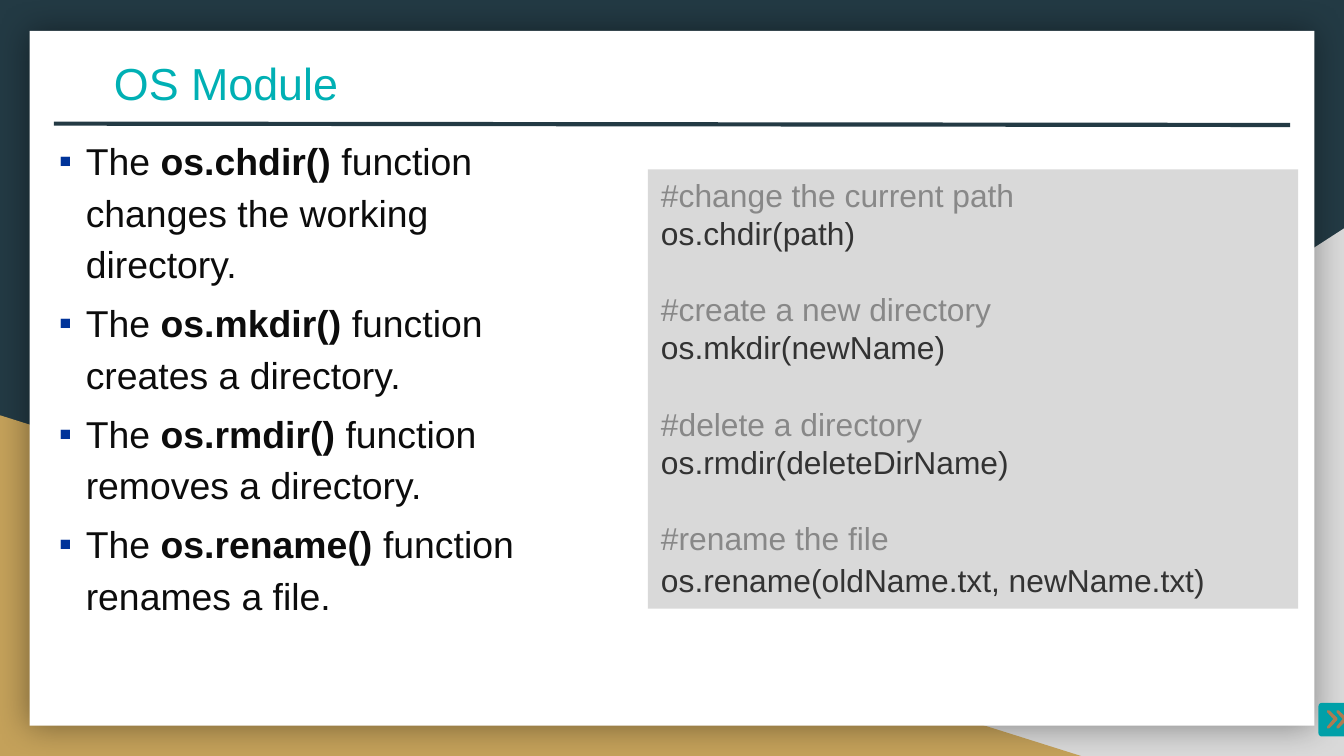
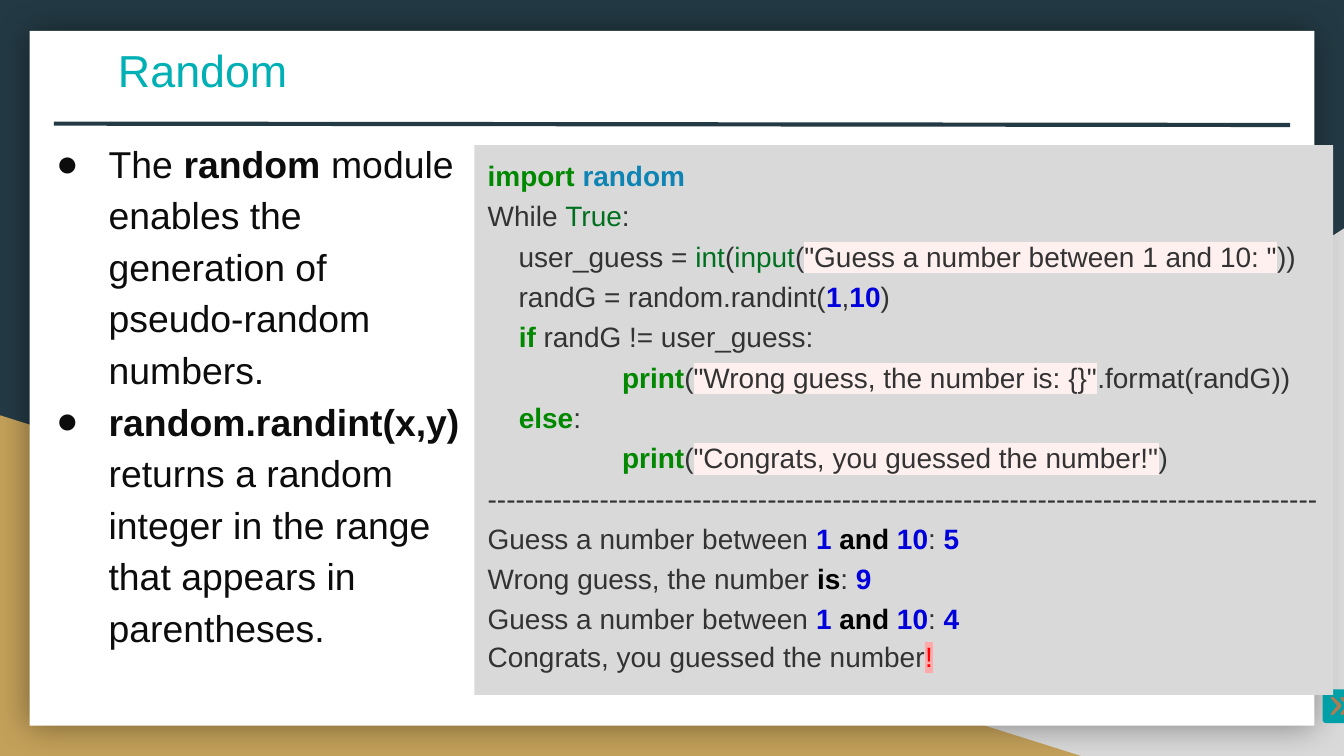
from dataclasses import dataclass
from typing import NamedTuple

from lxml import etree
from pptx import Presentation
from pptx.dml.color import RGBColor
from pptx.enum.shapes import MSO_CONNECTOR, MSO_SHAPE
from pptx.enum.text import MSO_ANCHOR, PP_ALIGN
from pptx.oxml.ns import qn
from pptx.util import Inches, Pt

RECT = MSO_SHAPE.RECTANGLE
ROUNDED = MSO_SHAPE.ROUNDED_RECTANGLE
TRIANGLE = MSO_SHAPE.RIGHT_TRIANGLE
STRAIGHT = MSO_CONNECTOR.STRAIGHT
LEFT = PP_ALIGN.LEFT
TOP, MIDDLE = MSO_ANCHOR.TOP, MSO_ANCHOR.MIDDLE

FONT = "Arial"
COLORS = {
    "navy": "233A44", "gray": "D9D9D9", "gold": "C4A15A", "white": "FFFFFF",
    "title": "00B0B4", "body": "0C0C0C", "bullet": "003399",
    "button": "00A0A8", "chevron": "AF7B51", "shadow": "000000",
    "code": "333333", "comment": "888888", "keyword": "008800",
    "module": "0E84B5", "builtin": "007020", "number": "0000DD",
    "black": "000000", "error": "FF0000",
    "string_back": "FFF0F0", "error_back": "FFAAAA",
}


class Style(NamedTuple):
    color: str
    bold: bool = False
    highlight: str = ""


STYLES = {
    "title": Style("title"),
    "body": Style("body"),
    "strong": Style("body", True),
    "code": Style("code"),
    "comment": Style("comment"),
    "keyword": Style("keyword", True),
    "module": Style("module", True),
    "builtin": Style("builtin"),
    "number": Style("number", True),
    "operator": Style("black", True),
    "string": Style("code", highlight="string_back"),
    "error": Style("error", highlight="error_back"),
}


class Area(NamedTuple):
    left: float
    top: float
    width: float
    height: float


class Span(NamedTuple):
    text: str
    style: str = "code"


class Bullet(NamedTuple):
    sign: str
    color: str
    margin: float
    hanging: float


class Line(NamedTuple):
    spans: list[Span]
    spacing: float = 1.0
    before: float = 0


@dataclass
class Lesson:
    title: str
    title_area: Area
    points: list[Line]
    points_area: Area
    bullet: Bullet
    button_at: tuple[float, float]
    code: list[Line]
    code_area: Area
    code_size: int


# Drawing helpers
def rgb(name: str) -> RGBColor:
    return RGBColor.from_string(COLORS[name])


def add_color(parent, name: str) -> etree._Element:
    color = etree.SubElement(parent, qn("a:srgbClr"))
    color.set("val", COLORS[name])
    return color


def paint(shape, color: str) -> None:
    shape.shadow.inherit = False
    shape.fill.solid()
    shape.fill.fore_color.rgb = rgb(color)
    shape.line.fill.background()


def add_block(shapes, kind, area: Area, color: str):
    block = shapes.add_shape(kind, *map(Inches, area))
    paint(block, color)
    return block


def add_bullet(para, bullet: Bullet) -> None:
    properties = para._p.get_or_add_pPr()
    properties.set("marL", str(Inches(bullet.margin)))
    properties.set("indent", str(-Inches(bullet.hanging)))
    add_color(etree.SubElement(properties, qn("a:buClr")), bullet.color)
    etree.SubElement(properties, qn("a:buFont")).set("typeface", FONT)
    etree.SubElement(properties, qn("a:buChar")).set("char", bullet.sign)


def add_tab_stop(para, position: float) -> None:
    stops = etree.SubElement(para._p.get_or_add_pPr(), qn("a:tabLst"))
    etree.SubElement(stops, qn("a:tab"), pos=str(Inches(position)), algn="l")


def add_highlight(run, color: str) -> None:
    highlight = etree.Element(qn("a:highlight"))
    add_color(highlight, color)
    run.font._element.find(qn("a:solidFill")).addnext(highlight)


def write(box, lines: list[Line], size: int, anchor=TOP, bullet: Bullet | None = None) -> None:
    frame = box.text_frame
    frame.word_wrap = True
    frame.vertical_anchor = anchor
    for index, line in enumerate(lines):
        para = frame.add_paragraph() if index else frame.paragraphs[0]
        if bullet:
            add_bullet(para, bullet)
        if line.spans[0].text == "\t":
            add_tab_stop(para, 1)
        para.alignment = LEFT
        para.line_spacing = line.spacing
        para.space_before = Pt(line.before)
        para.font.name = FONT
        para.font.size = Pt(size)
        for span in line.spans:
            style = STYLES[span.style]
            run = para.add_run()
            run.text = span.text
            run.font.bold = style.bold
            run.font.color.rgb = rgb(style.color)
            if style.highlight:
                add_highlight(run, style.highlight)


# Shared backdrop: triangles, white card with a glow, rule under the title
def add_backdrop(page) -> None:
    page.background.fill.solid()
    page.background.fill.fore_color.rgb = rgb("navy")
    corner = add_block(page.shapes, TRIANGLE, Area(3.92, 1.7, 6.08, 3.93), "gray")
    corner._element.spPr.find(qn("a:xfrm")).set("flipH", "1")
    add_block(page.shapes, TRIANGLE, Area(0, 3.09, 8.06, 2.54), "gold")

    card = add_block(page.shapes, RECT, Area(0.22, 0.23, 9.56, 5.17), "white")
    effects = card._element.spPr.find(qn("a:effectLst"))
    shadow = etree.SubElement(effects, qn("a:outerShdw"), blurRad=str(Pt(18)), dist="0", dir="0")
    etree.SubElement(add_color(shadow, "shadow"), qn("a:alpha")).set("val", "40000")

    rule = page.shapes.add_connector(STRAIGHT, *map(Inches, (0.4, 0.92, 9.6, 0.93)))
    rule.line.color.rgb = rgb("navy")
    rule.line.width = Pt(2.25)
    etree.SubElement(rule._element.spPr, qn("a:effectLst"))


# Double chevron button; outline points are in thousandths of an inch
CHEVRON = [(5, 125), (50, 70), (5, 20), (5, 5), (20, 5), (80, 62), (80, 78), (20, 140), (5, 140)]


def add_button(page, left: float, top: float) -> None:
    button = page.shapes.add_group_shape().shapes
    plate = add_block(button, ROUNDED, Area(left, top, 0.25, 0.25), "button")
    plate.adjustments[0] = 0.1
    for offset in (0.06, 0.13):
        outline = button.build_freeform(*CHEVRON[0], scale=Inches(1) / 1000)
        outline.add_line_segments(CHEVRON[1:], close=True)
        paint(outline.convert_to_shape(Inches(left + offset), Inches(top + 0.05)), "chevron")


def add_lesson(deck, lesson: Lesson) -> None:
    page = deck.slides.add_slide(deck.slide_layouts[6])
    add_backdrop(page)
    title = page.shapes.add_textbox(*map(Inches, lesson.title_area))
    write(title, [Line([Span(lesson.title, "title")])], 24, MIDDLE)
    points = page.shapes.add_textbox(*map(Inches, lesson.points_area))
    write(points, lesson.points, 20, bullet=lesson.bullet)
    add_button(page, *lesson.button_at)
    code = add_block(page.shapes, RECT, lesson.code_area, "gray")
    write(code, lesson.code, lesson.code_size)


# OS module content
OS_FUNCTIONS = [
    ("os.chdir()", "changes the working directory."),
    ("os.mkdir()", "creates a directory."),
    ("os.rmdir()", "removes a directory."),
    ("os.rename()", "renames a file."),
]
OS_CALLS = [
    ("#change the current path", "os.chdir(path)"),
    ("#create a new directory", "os.mkdir(newName)"),
    ("#delete a directory", "os.rmdir(deleteDirName)"),
    ("#rename the file", "os.rename(oldName.txt, newName.txt)"),
]


def os_points() -> list[Line]:
    return [
        Line([Span("The ", "body"), Span(name, "strong"), Span(f" function {effect}", "body")],
             1.15, 4 if index else 0)
        for index, (name, effect) in enumerate(OS_FUNCTIONS)
    ]


def os_code() -> list[Line]:
    lines = []
    for index, (comment, call) in enumerate(OS_CALLS):
        last = index == len(OS_CALLS) - 1
        lines.append(Line([Span(comment, "comment")], before=20.4 if index else 0))
        lines.append(Line([Span(call)], 1.11 if last else 1.0))
    return lines


# Random module content
RANDOM_POINTS = [
    Line([Span("The ", "body"), Span("random ", "strong"),
          Span("module enables the generation of pseudo-random numbers.", "body")], 1.15),
    Line([Span("random.randint(x,y)", "strong"),
          Span(" returns a random integer in the range that appears in parentheses.", "body")], 1.15),
]


def prompt_spans(guess: str) -> list[Span]:
    return [Span("Guess a number between "), Span("1 ", "number"), Span("and ", "operator"),
            Span("10", "number"), Span(": "), Span(guess, "number")]


def print_spans(message: str, ending: str) -> list[Span]:
    return [Span("\t"), Span("print", "keyword"), Span("("), Span(message, "string"), Span(ending)]


def random_code() -> list[Line]:
    rows = [
        [Span("import ", "keyword"), Span("random", "module")],
        [Span("While "), Span("True", "builtin"), Span(":")],
        [Span("    user_guess = "), Span("int", "builtin"), Span("("), Span("input", "builtin"),
         Span("("), Span('"Guess a number between 1 and 10: "', "string"), Span("))")],
        [Span("    randG = random.randint("), Span("1", "number"), Span(","),
         Span("10", "number"), Span(")")],
        [Span("    "), Span("if", "keyword"), Span(" randG != user_guess:")],
        print_spans('"Wrong guess, the number is: {}"', ".format(randG))"),
        [Span("    "), Span("else", "keyword"), Span(":")],
        print_spans('"Congrats, you guessed the number!"', ")"),
        [Span("-" * 89)],
        prompt_spans("5"),
        [Span("Wrong guess, the number "), Span("is", "operator"), Span(": "), Span("9", "number")],
        prompt_spans("4"),
    ]
    ending = [Span("Congrats, you guessed the number"), Span("!", "error")]
    return [Line(row, 1.2) for row in rows] + [Line(ending, 1.11)]


def main() -> None:
    deck = Presentation()
    deck.slide_width = Inches(10)
    deck.slide_height = Inches(10) * 9 // 16
    lessons = [
        Lesson("OS Module", Area(0.75, 0.42, 9, 0.39),
               os_points(), Area(0.34, 0.93, 4.06, 3.62), Bullet("▪", "bullet", 0.2, 0.2),
               (9.81, 5.23), os_code(), Area(4.82, 1.26, 4.84, 3.27), 17),
        Lesson("Random", Area(0.78, 0.32, 9, 0.39),
               RANDOM_POINTS, Area(0.21, 0.95, 3.38, 3.62), Bullet("●", "body", 0.5, 0.39),
               (9.84, 5.13), random_code(), Area(3.53, 1.08, 6.39, 4.09), 15),
    ]
    for lesson in lessons:
        add_lesson(deck, lesson)
    deck.save("out.pptx")


if __name__ == "__main__":
    main()
